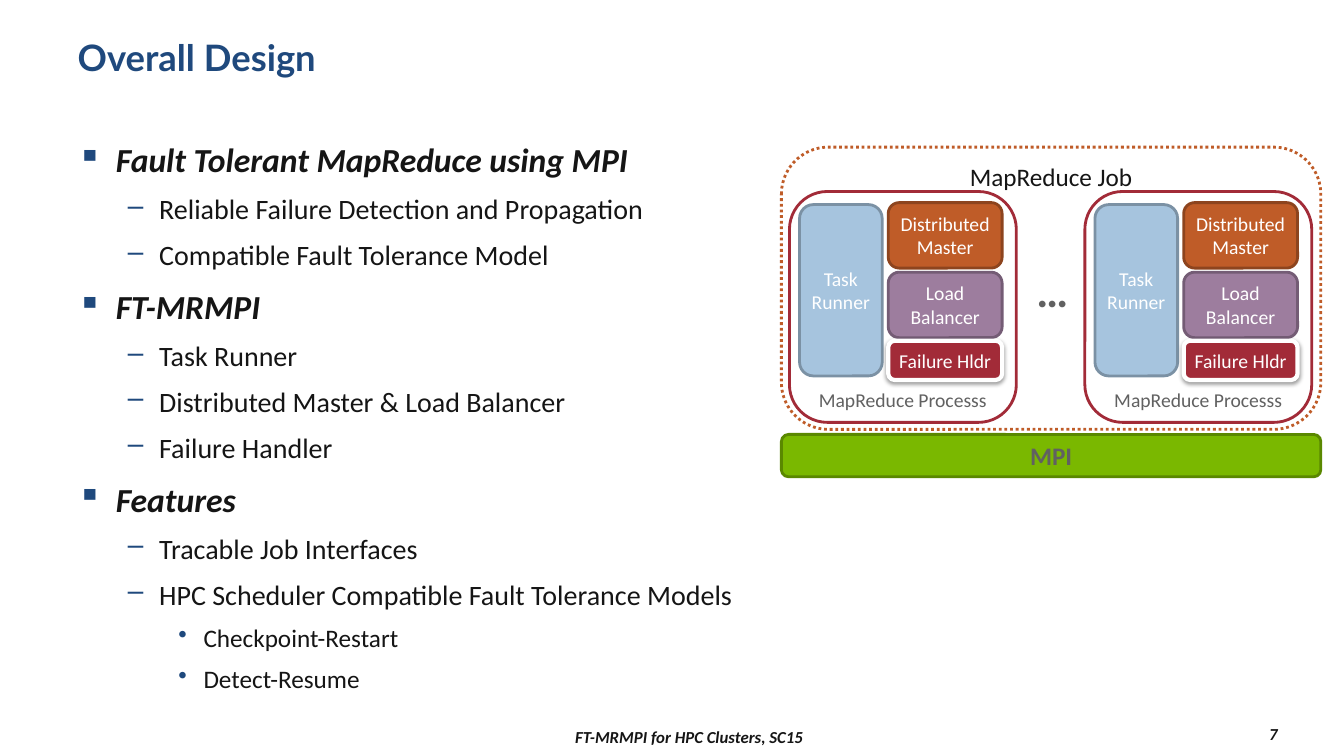
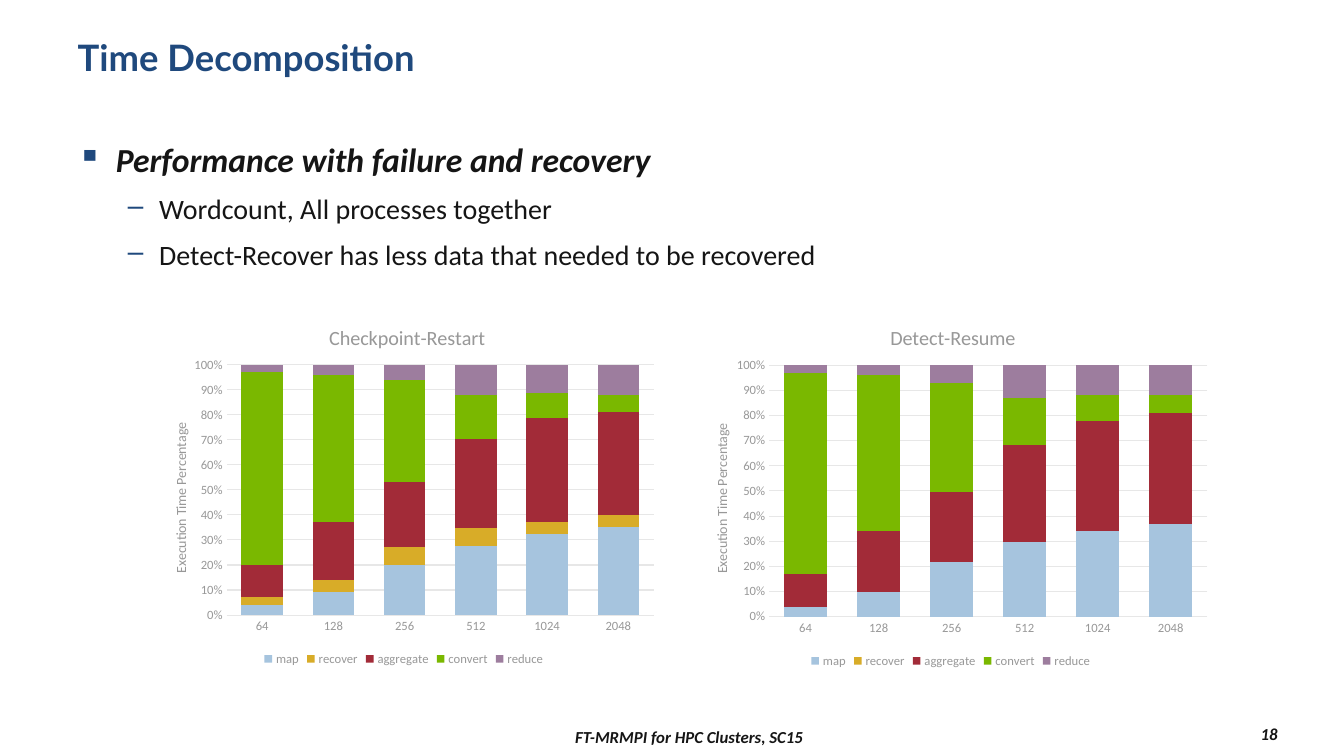
from dataclasses import dataclass
from typing import Any, NamedTuple, Optional

from lxml.etree import SubElement
from pptx import Presentation
from pptx.chart.data import CategoryChartData
from pptx.dml.color import RGBColor
from pptx.enum.chart import XL_CHART_TYPE as ChartType, XL_LEGEND_POSITION as LegendPosition
from pptx.enum.chart import XL_TICK_MARK as TickMark
from pptx.enum.dml import MSO_LINE as Dash
from pptx.enum.shapes import MSO_SHAPE as Preset
from pptx.enum.text import MSO_ANCHOR as Anchor, PP_ALIGN as Align
from pptx.oxml import parse_xml
from pptx.oxml.ns import nsdecls, qn
from pptx.util import Inches, Pt

NAVY, INK, GRAY, WHITE = "1F497D", "151515", "616161", "FFFFFF"
CHART_TEXT, GRID = "989898", "E7E7E7"
BLUE, GOLD, RED, GREEN, PURPLE, ORANGE = "A6C4DE", "D8AC28", "A22B38", "7AB800", "9D7D9E", "BF5C28"
BODY_FONT, TITLE_FONT = "Calibri", "Lato"
FOOTER = "FT-MRMPI for HPC Clusters, SC15"
FOOTER_FORMAT = {"size": 12, "color": INK, "bold": True, "italic": True}
PROCESS_LEFTS = (7.83, 10.76)
CATEGORIES = ("64", "128", "256", "512", "1024", "2048")
SERIES_COLORS = {"map": BLUE, "recover": GOLD, "aggregate": RED, "convert": GREEN, "reduce": PURPLE}


class Box(NamedTuple):
    left: float
    top: float
    width: float
    height: float

    def lengths(self) -> list:
        return [Inches(value) for value in self]

    def shifted(self, across: float) -> "Box":
        return self._replace(left=self.left + across)


class Level(NamedTuple):
    margin: float
    indent: float
    bullet: str
    format: dict


LEVELS = (
    Level(0.38, -0.38, "▪", {"size": 24, "color": INK, "bold": True, "italic": True}),
    Level(0.81, -0.31, "–", {"size": 20, "color": INK}),
    Level(1.25, -0.25, "•", {"size": 18, "color": INK}),
)


@dataclass(frozen=True)
class Block:
    box: Box
    fill: str
    line: str
    text: str
    text_format: dict
    anchor: Any = Anchor.MIDDLE
    margins: tuple = (0, 0, 0, 0)
    line_width: float = 2
    dash: Any = None
    shadow: bool = False


@dataclass(frozen=True)
class TimeChart:
    title: str
    title_left: float
    box: Box
    values: tuple


LABEL = {"size": 14, "color": WHITE}
JOB = Block(Box(7.75, 1.46, 5.35, 2.8), WHITE, ORANGE, "MapReduce Job",
            {"size": 18, "color": INK}, Anchor.TOP, dash=Dash.ROUND_DOT)
MPI = Block(Box(7.75, 4.31, 5.35, 0.42), GREEN, "5A8800", "MPI",
            {"size": 18, "color": GRAY, "bold": True})
# Positions of the process parts are relative to the left edge of the process.
PROCESS = (
    Block(Box(0, 1.9, 2.25, 2.29), WHITE, RED, "MapReduce Processs",
          {"size": 14, "color": GRAY}, Anchor.BOTTOM, (0.1, 0.05, 0.1, 0)),
    Block(Box(0.1, 2.03, 0.82, 1.7), BLUE, "7B91A4", "Task\nRunner", LABEL),
    Block(Box(0.98, 2.01, 1.13, 0.65), ORANGE, "8D441E", "Distributed\nMaster", LABEL),
    Block(Box(0.98, 2.7, 1.13, 0.65), PURPLE, "745C75", "Load\nBalancer", LABEL),
    Block(Box(0.98, 3.38, 1.13, 0.39), RED, WHITE, "Failure Hldr", LABEL, line_width=3, shadow=True),
)
DESIGN_BULLETS = (
    (0, "Fault Tolerant MapReduce using MPI"),
    (1, "Reliable Failure Detection and Propagation"),
    (1, "Compatible Fault Tolerance Model"),
    (0, "FT-MRMPI"),
    (1, "Task Runner"),
    (1, "Distributed Master & Load Balancer"),
    (1, "Failure Handler"),
    (0, "Features"),
    (1, "Tracable Job Interfaces"),
    (1, "HPC Scheduler Compatible Fault Tolerance Models"),
    (2, "Checkpoint-Restart"),
    (2, "Detect-Resume"),
)
TIME_BULLETS = (
    (0, "Performance with failure and recovery"),
    (1, "Wordcount, All processes together"),
    (1, "Detect-Recover has less data that needed to be recovered"),
)
TIME_CHARTS = (
    TimeChart("Checkpoint-Restart", 0.35, Box(1.42, 3, 5.17, 3.65), (
        (4, 9, 20, 28, 32, 35), (3, 5, 7, 7, 5, 5), (13, 23, 26, 36, 41, 41),
        (77, 59, 41, 18, 10, 7), (3, 4, 6, 12, 11, 12))),
    TimeChart("Detect-Resume", 0.38, Box(6.78, 3, 5.3, 3.67), (
        (4, 10, 22, 30, 34, 37), (0, 0, 0, 0, 0, 0), (13, 24, 28, 39, 44, 44),
        (80, 62, 44, 19, 10, 7), (3, 4, 7, 13, 12, 12))),
)


def rgb(color: str) -> RGBColor:
    return RGBColor.from_string(color)


def set_font(font, size: float, color: str, name: str = BODY_FONT, **flags: bool) -> None:
    values = {"name": name, "size": Pt(size), "bold": False, "italic": False, **flags}
    for attribute, value in values.items():
        setattr(font, attribute, value)
    font.color.rgb = rgb(color)


def write_lines(frame, text: str, text_format: dict, align) -> None:
    for index, line in enumerate(text.split("\n")):
        para = frame.paragraphs[0] if index == 0 else frame.add_paragraph()
        para.alignment = align
        span = para.add_run()
        span.text = line
        set_font(span.font, **text_format)


def add_text(slide, box: Box, text: str, text_format: dict, align=Align.LEFT,
             anchor=Anchor.MIDDLE, wrap: bool = True) -> None:
    frame = slide.shapes.add_textbox(*box.lengths()).text_frame
    frame.word_wrap = wrap
    frame.vertical_anchor = anchor
    write_lines(frame, text, text_format, align)


def add_bullets(slide, width: float, bullets: tuple) -> None:
    frame = slide.shapes.add_textbox(*Box(0.67, 1.25, width, 5.67).lengths()).text_frame
    frame.word_wrap = True
    for index, (depth, text) in enumerate(bullets):
        level = LEVELS[depth]
        para = frame.paragraphs[0] if index == 0 else frame.add_paragraph()
        properties = para._p.get_or_add_pPr()
        properties.set("marL", str(Inches(level.margin)))
        properties.set("indent", str(Inches(level.indent)))
        color = SubElement(properties, qn("a:buClr"))
        SubElement(color, qn("a:srgbClr")).set("val", NAVY)
        SubElement(properties, qn("a:buChar")).set("char", level.bullet)
        para.level = depth
        para.line_spacing = 1.2
        para.space_before = Pt(0.2 * level.format["size"] if index else 0)
        span = para.add_run()
        span.text = text
        set_font(span.font, **level.format)


def add_block(shapes, block: Block, across: float = 0) -> None:
    shape = shapes.add_shape(Preset.ROUNDED_RECTANGLE, *block.box.shifted(across).lengths())
    shape.shadow.inherit = False
    if block.shadow:
        shape._element.spPr.find(qn("a:effectLst")).append(parse_xml(
            f'<a:outerShdw {nsdecls("a")} blurRad="{Pt(3.1)}" dist="{Pt(1.6)}" dir="5400000" '
            'rotWithShape="0"><a:srgbClr val="000000"><a:alpha val="38000"/></a:srgbClr>'
            '</a:outerShdw>'))
    shape.fill.solid()
    shape.fill.fore_color.rgb = rgb(block.fill)
    shape.line.color.rgb = rgb(block.line)
    shape.line.width = Pt(block.line_width)
    if block.dash is not None:
        shape.line.dash_style = block.dash
    frame = shape.text_frame
    frame.word_wrap = True
    frame.vertical_anchor = block.anchor
    for side, margin in zip(("left", "top", "right", "bottom"), block.margins):
        setattr(frame, f"margin_{side}", Inches(margin))
    write_lines(frame, block.text, block.text_format, Align.CENTER)


def place(element, index: int, left: float, top: float, size: Optional[tuple] = None) -> None:
    """Give a chart part a manual layout, in fractions of the chart."""
    for old in element.findall(qn("c:layout")):
        element.remove(old)
    layout = parse_xml(f'<c:layout {nsdecls("c")}/>')
    manual = SubElement(layout, qn("c:manualLayout"))
    values = {"xMode": "edge", "yMode": "edge", "x": left, "y": top}
    if size:
        values = {"layoutTarget": "inner", **values, "w": size[0], "h": size[1]}
    for tag, value in values.items():
        SubElement(manual, qn(f"c:{tag}")).set("val", str(value))
    element.insert(index, layout)


def write_chart_title(title, text: str, size: float, left: float, top: float) -> None:
    write_lines(title.text_frame, text, {"size": size, "color": CHART_TEXT}, Align.CENTER)
    place(title._element, 1, left, top)


def add_time_chart(slide, time_chart: TimeChart) -> None:
    data = CategoryChartData()
    data.categories = CATEGORIES
    for name, values in zip(SERIES_COLORS, time_chart.values):
        data.add_series(name, values)
    chart = slide.shapes.add_chart(
        ChartType.COLUMN_STACKED_100, *time_chart.box.lengths(), data).chart
    set_font(chart.font, 10, GRAY)
    chart.has_title = True
    write_chart_title(chart.chart_title, time_chart.title, 14.4, time_chart.title_left, 0.05)
    place(chart._chartSpace.chart.plotArea, 0, 0.16, 0.17, (0.82, 0.68))

    chart.has_legend = True
    chart.legend.position = LegendPosition.BOTTOM
    chart.legend.include_in_layout = False
    set_font(chart.legend.font, 9, CHART_TEXT)

    plot = chart.plots[0]
    plot.gap_width, plot.overlap, plot.vary_by_categories = 72, 100, False
    for series, color in zip(plot.series, SERIES_COLORS.values()):
        series.format.fill.solid()
        series.format.fill.fore_color.rgb = rgb(color)

    for axis in (chart.category_axis, chart.value_axis):
        axis.major_tick_mark = axis.minor_tick_mark = TickMark.NONE
        set_font(axis.tick_labels.font, 9, CHART_TEXT)
    value_axis = chart.value_axis
    value_axis.has_major_gridlines = True
    for line in (chart.category_axis.format.line, value_axis.major_gridlines.format.line):
        line.color.rgb = rgb(GRID)
        line.width = Pt(0.75)
    value_axis.format.line.fill.background()
    value_axis.tick_labels.number_format = "0%"
    value_axis.tick_labels.number_format_is_linked = False
    value_axis.has_title = True
    write_chart_title(value_axis.axis_title, "Execution Time Percentage", 10, 0.05, 0.32)
    value_axis.axis_title.text_frame._txBody.bodyPr.set("rot", "-5400000")


def add_slide(deck, title: str, number: int):
    """Add a slide with its title, footer and page number."""
    slide = deck.slides.add_slide(deck.slide_layouts[5])
    holder = slide.shapes.title
    lengths = Box(0.67, 0.3, 12, 0.87).lengths()
    for attribute, value in zip(("left", "top", "width", "height"), lengths):
        setattr(holder, attribute, value)
    holder.text_frame.vertical_anchor = Anchor.TOP
    write_lines(holder.text_frame, title,
                {"size": 26, "color": NAVY, "name": TITLE_FONT, "bold": True}, Align.LEFT)
    add_text(slide, Box(2.89, 7.17, 7.89, 0.27), FOOTER, FOOTER_FORMAT, Align.CENTER)
    add_text(slide, Box(11.33, 7.15, 1.44, 0.27), str(number), FOOTER_FORMAT, Align.RIGHT)
    return slide


def add_design_slide(deck) -> None:
    slide = add_slide(deck, "Overall Design", 7)
    add_bullets(slide, 6.92, DESIGN_BULLETS)
    add_block(slide.shapes, JOB)
    add_block(slide.shapes, MPI)
    for left in PROCESS_LEFTS:
        group = slide.shapes.add_group_shape()
        for block in PROCESS:
            add_block(group.shapes, block, left)
    add_text(slide, Box(10.18, 2.56, 0.52, 0.64), "…",
             {"size": 32, "color": GRAY, "bold": True}, anchor=Anchor.TOP, wrap=False)


def add_time_slide(deck) -> None:
    slide = add_slide(deck, "Time Decomposition", 18)
    add_bullets(slide, 12, TIME_BULLETS)
    for time_chart in TIME_CHARTS:
        add_time_chart(slide, time_chart)


def main() -> None:
    deck = Presentation()
    deck.slide_width, deck.slide_height = Inches(13.33), Inches(7.5)
    add_design_slide(deck)
    add_time_slide(deck)
    deck.save("out.pptx")


if __name__ == "__main__":
    main()
